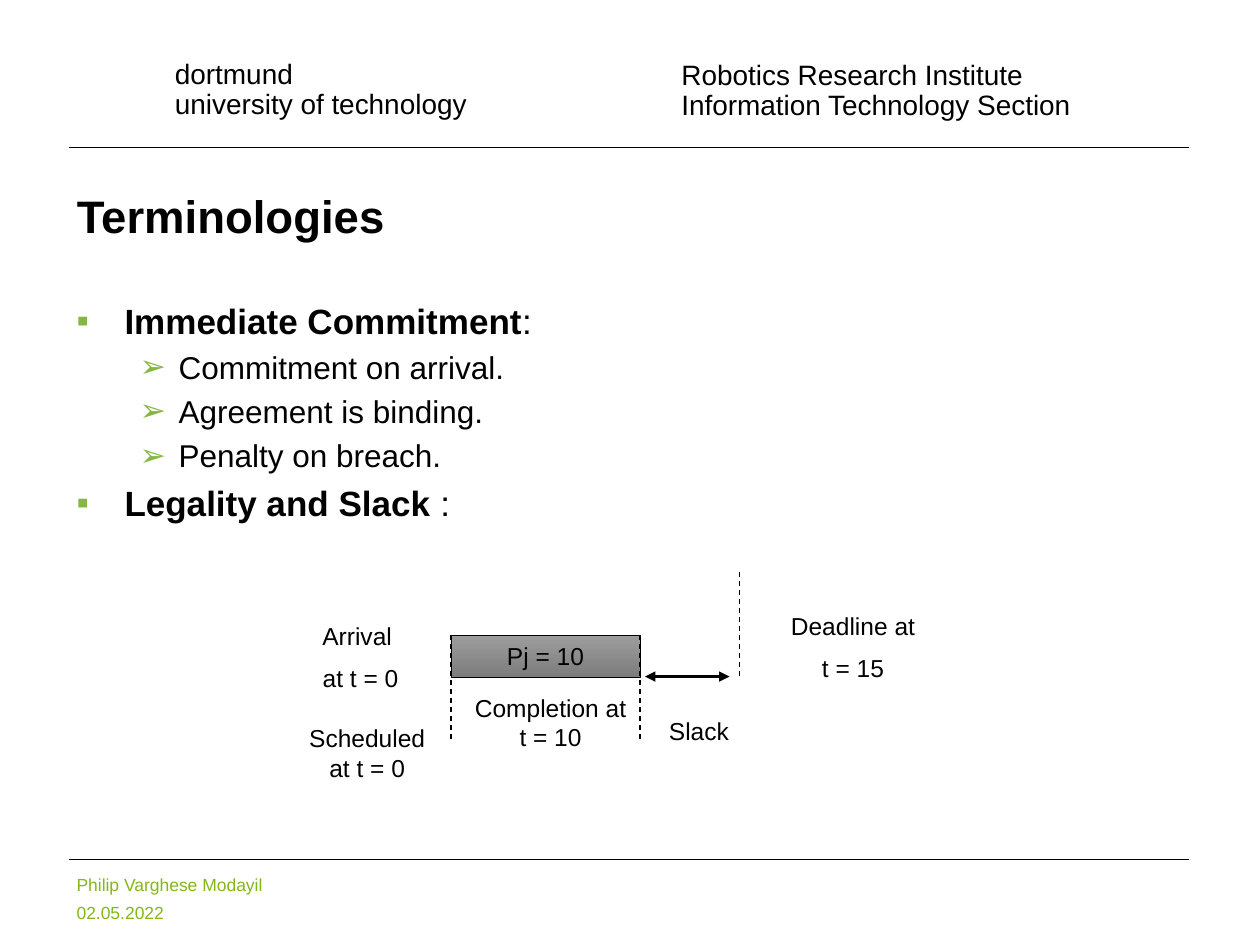
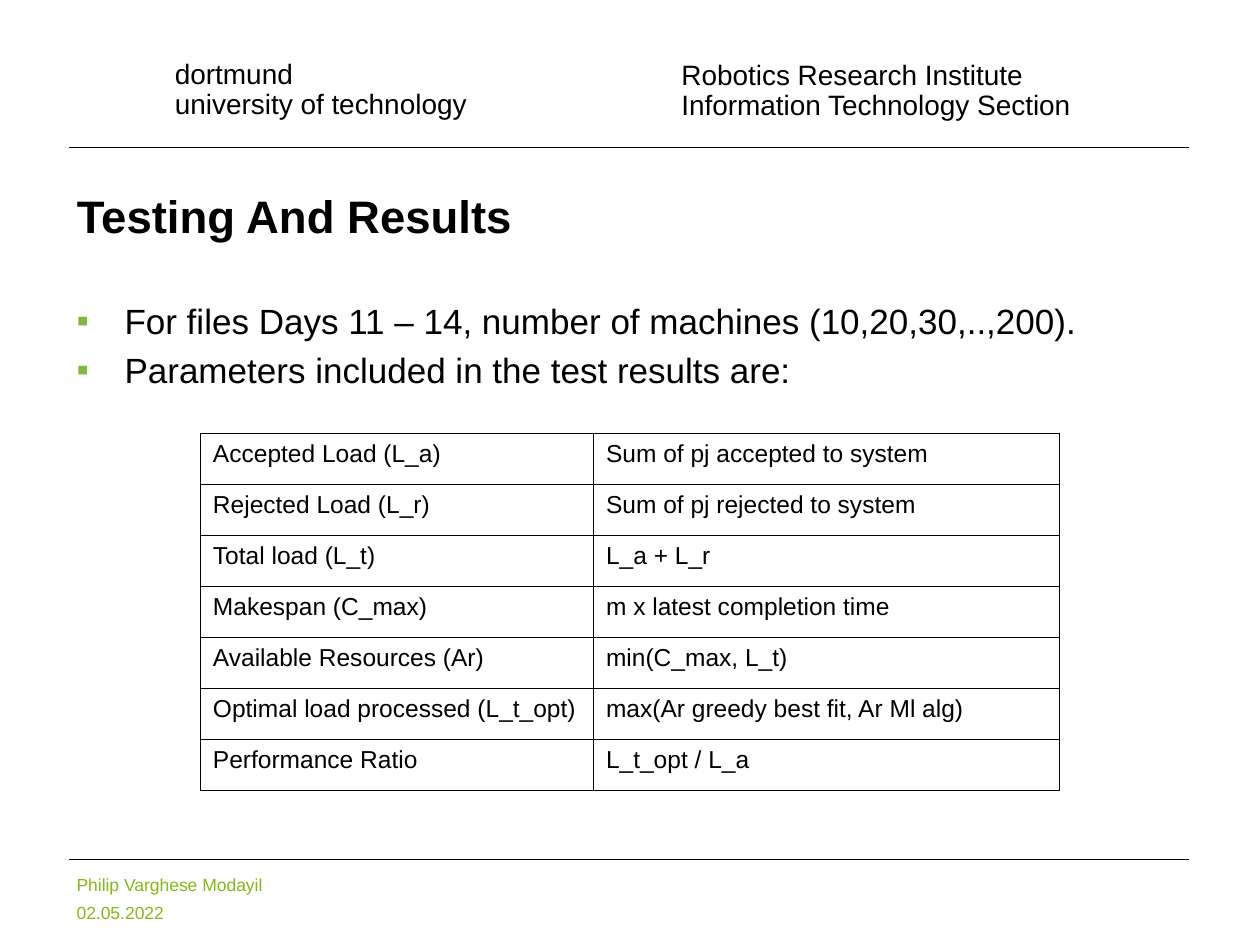
from lxml import etree
from pptx import Presentation
from pptx import util as u
from pptx.dml.color import RGBColor
from pptx.enum import dml, shapes, text
from pptx.oxml.ns import qn

COLOURS = {"ink": "000000", "footer": "84B818", "bullet": "83B73D",
           "bar_top": "9D9D9D", "bar_bottom": "7C7C7C"}
FONT = "Arial"
COLUMNS, ROWS = 20, 15
WIDTH, HEIGHT = u.Inches(10), u.Inches(7.5)
LEFT, CENTER, JUSTIFY = (text.PP_ALIGN.LEFT, text.PP_ALIGN.CENTER,
                         text.PP_ALIGN.JUSTIFY)
# Per outline level: bullet, left margin and hanging indent in columns
LEVELS = [("▪", 0.76, 0.76), ("➢", 1.62, 0.62)]


def colour(name):
    return RGBColor.from_string(COLOURS[name])


def columns(count):
    return int(count * WIDTH / COLUMNS)


def rows(count):
    return int(count * HEIGHT / ROWS)


def area(left, top, width, height):
    return columns(left), rows(top), columns(width), rows(height)


def child(parent, tag, **attributes):
    return etree.SubElement(parent, qn(tag), attributes)


def write(frame, paragraphs, size=14, ink="ink", bold=False, align=LEFT,
          anchor=text.MSO_ANCHOR.TOP, spacing=None, before=0, levels=None):
    """Fill a frame; a paragraph is a string or a list of (string, bold)."""
    frame.word_wrap = True
    frame.vertical_anchor = anchor
    for index, content in enumerate(paragraphs):
        para = frame.paragraphs[0] if index == 0 else frame.add_paragraph()
        para.alignment = align
        if spacing:
            para.line_spacing = spacing
        properties = para._p.get_or_add_pPr()
        if before:
            gap = child(properties, "a:spcBef")
            child(gap, "a:spcPct", val=str(before * 1000))
        level = levels[index] if levels else 0
        if levels:
            para.level = level
            bullet, margin, hanging = LEVELS[level]
            properties.set("marL", str(columns(margin)))
            properties.set("indent", str(-columns(hanging)))
            tint = child(properties, "a:buClr")
            child(tint, "a:srgbClr", val=COLOURS["bullet"])
            child(properties, "a:buFont", typeface=FONT)
            child(properties, "a:buChar", char=bullet)
        spans = [(content, bold)] if isinstance(content, str) else content
        for words, strong in spans:
            span = para.add_run()
            span.text = words
            span.font.name = FONT
            span.font.size = u.Pt(size - 2 * level)
            span.font.bold = strong
            span.font.color.rgb = colour(ink)


class SlideBuilder:
    def __init__(self):
        self.deck = Presentation()
        self.deck.slide_width, self.deck.slide_height = WIDTH, HEIGHT
        self.page = None

    def start(self, title):
        """Add a slide with its header, footer and title."""
        self.page = self.deck.slides.add_slide(self.deck.slide_layouts[5])
        for height in (2.34, 13.64):
            self.line((1.1, height), (18.88, height), weight=0.5)
        self.label((2.58, 0.86, 5.48, 1.14),
                   ["dortmund", "university of technology"],
                   size=16, spacing=u.Pt(17))
        self.label((10.62, 0.88, 6.94, 1.14),
                   ["Robotics Research Institute",
                    "Information Technology Section"],
                   size=16, spacing=u.Pt(17))
        self.label((1.02, 13.68, 3.94, 0.92),
                   ["Philip Varghese Modayil", "02.05.2022"],
                   size=10, ink="footer", spacing=1.3)
        box = self.page.shapes.title
        box.left, box.top, box.width, box.height = area(1.02, 2.34, 17.78, 2.16)
        write(box.text_frame, [title], size=26, bold=True,
              anchor=text.MSO_ANCHOR.MIDDLE)

    def label(self, place, paragraphs, **style):
        box = self.page.shapes.add_textbox(*area(*place))
        write(box.text_frame, paragraphs, **style)

    def caption(self, place, *paragraphs):
        self.label(place, paragraphs, align=CENTER, before=50)

    def outline(self, height, paragraphs, levels):
        self.label((1.02, 4.66, 17.78, height), paragraphs, size=20,
                   align=JUSTIFY, before=20, levels=levels)

    def line(self, start, end, weight=0.75, dashed=False, arrows=False):
        connector = self.page.shapes.add_connector(
            shapes.MSO_CONNECTOR.STRAIGHT, columns(start[0]), rows(start[1]),
            columns(end[0]), rows(end[1]))
        connector.line.color.rgb = colour("ink")
        connector.line.width = u.Pt(weight)
        if dashed:
            connector.line.dash_style = dml.MSO_LINE.DASH
        if arrows:
            stroke = connector.line._get_or_add_ln()
            for tag in ("a:headEnd", "a:tailEnd"):
                child(stroke, tag, type="triangle")
        child(connector._element.spPr, "a:effectLst")

    def bar(self, place, words):
        box = self.page.shapes.add_shape(shapes.MSO_SHAPE.RECTANGLE, *area(*place))
        box.shadow.inherit = False
        box.fill.gradient()
        box.fill.gradient_angle = 270
        for stop, name in zip(box.fill.gradient_stops, ("bar_top", "bar_bottom")):
            stop.color.rgb = colour(name)
        box.line.color.rgb = colour("ink")
        box.line.width = u.Pt(0.5)
        write(box.text_frame, [words], align=CENTER, before=50)

    def table(self, left, top, widths, row_height, records):
        grid = self.page.shapes.add_table(
            len(records), len(widths),
            *area(left, top, sum(widths), row_height * len(records))).table
        grid.first_row = grid.horz_banding = False
        for column, width in zip(grid.columns, widths):
            column.width = columns(width)
        for row, record in zip(grid.rows, records):
            row.height = rows(row_height)
            for cell, words in zip(row.cells, record):
                write(cell.text_frame, [words])
                self.border(cell)
                cell.fill.background()

    def border(self, cell):
        properties = cell._tc.get_or_add_tcPr()
        for side in "LRTB":
            edge = child(properties, f"a:ln{side}", w=str(u.Pt(1)))
            fill = child(edge, "a:solidFill")
            child(fill, "a:srgbClr", val=COLOURS["ink"])


def terminologies(slide):
    slide.start("Terminologies")
    slide.outline(8.66, [
        [("Immediate Commitment", True), (":", False)],
        "Commitment on arrival.",
        "Agreement is binding.",
        "Penalty on breach.",
        [("Legality and Slack ", True), (":", False)],
    ], levels=[0, 1, 1, 1, 0])

    # Job timeline: the processing bar, its limits and the slack
    arrival, completion, deadline = 7.16, 10.16, 11.74
    bar_top, bar_height, marker = 10.08, 0.68, 1.66
    slide.bar((arrival, bar_top, completion - arrival, bar_height), "Pj = 10")
    for moment, top in ((arrival, bar_top), (completion, bar_top),
                        (deadline, bar_top - 1)):
        slide.line((moment, top), (moment, top + marker), dashed=True)
    slide.line((10.24, 10.74), (11.58, 10.74), weight=1.5, arrows=True)

    # Timeline captions
    slide.caption((7.24, 10.9, 3, 1.14), "Completion at t = 10")
    slide.caption((12.06, 9.6, 2.96, 1.38), "Deadline at", "t = 15")
    slide.caption((4.5, 11.38, 2.66, 1.14), "Scheduled at t = 0")
    slide.caption((4.34, 9.76, 2.66, 1.38), "Arrival", " at t = 0")
    slide.caption((9.82, 11.26, 2.66, 0.68), "Slack ")


def results(slide):
    slide.start("Testing And Results")
    slide.outline(1.74, [
        "For files Days 11 – 14, number of machines (10,20,30,..,200).",
        "Parameters included in the test results are:",
    ], levels=[0, 0])

    # Test parameters and their definitions
    slide.table(3.18, 6.88, (6.24, 7.4), 0.81, [
        ("Accepted Load (L_a)", "Sum of pj accepted to system"),
        ("Rejected Load (L_r)", "Sum of pj rejected to system"),
        ("Total load (L_t)", "L_a + L_r"),
        ("Makespan (C_max)", "m x latest completion time"),
        ("Available Resources (Ar)", "min(C_max, L_t)"),
        ("Optimal load processed (L_t_opt)", "max(Ar greedy best fit, Ar Ml alg)"),
        ("Performance Ratio", "L_t_opt / L_a"),
    ])


def main():
    slide = SlideBuilder()
    terminologies(slide)
    results(slide)
    slide.deck.save("out.pptx")


if __name__ == "__main__":
    main()
